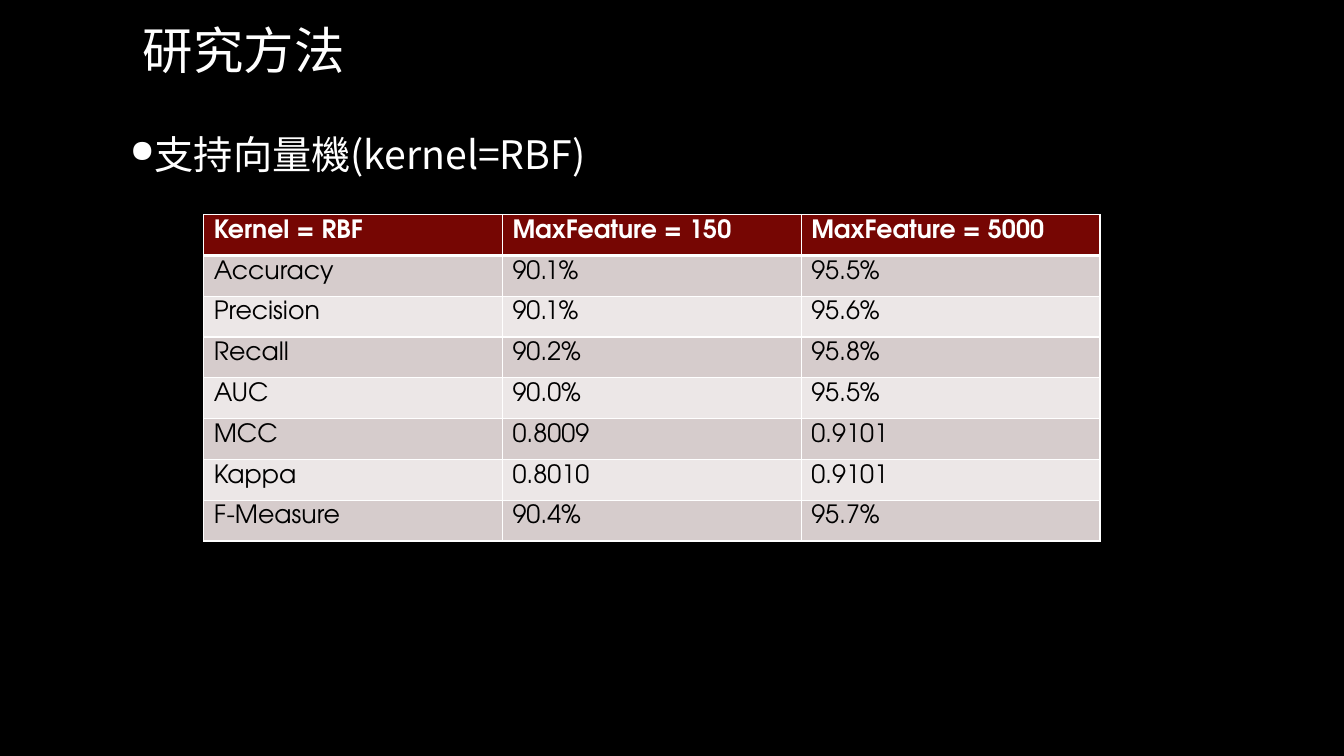
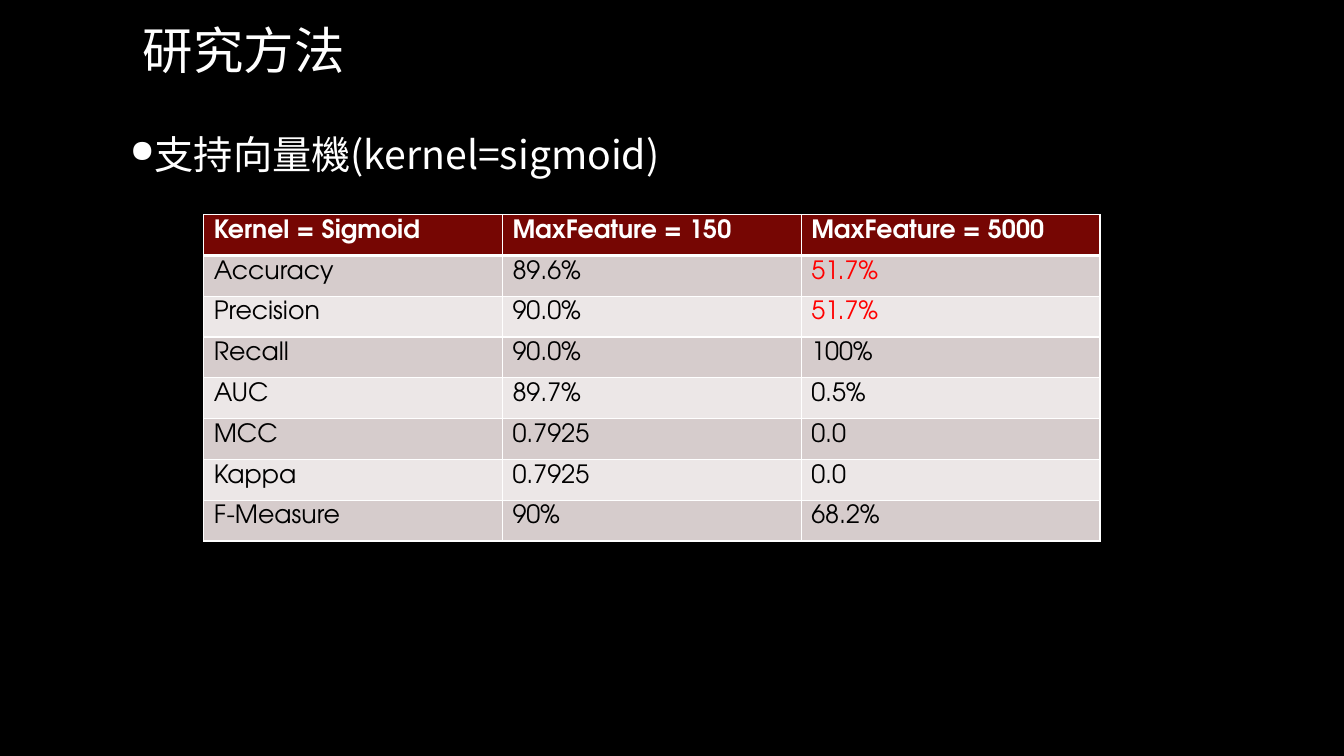
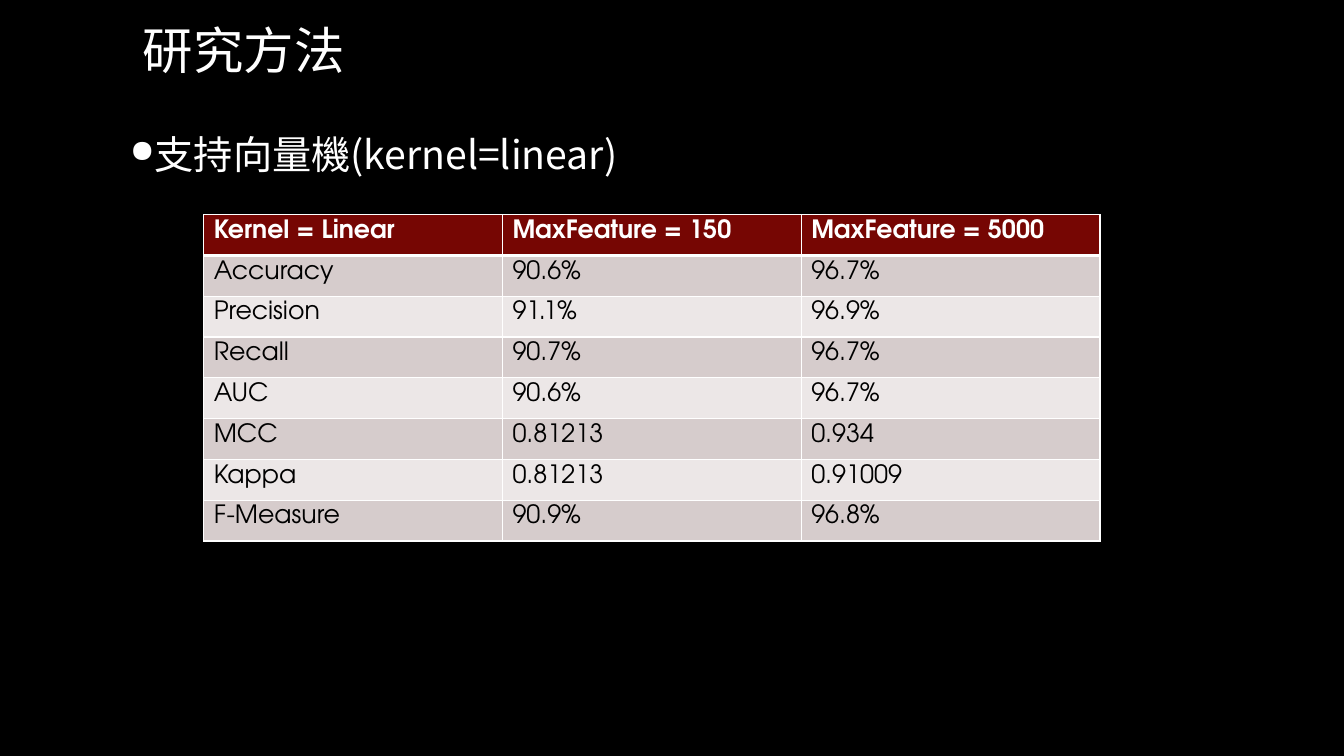
from lxml import etree
from pptx import Presentation
from pptx import util as u
from pptx.dml import color
from pptx.enum import text
from pptx.oxml import ns

HUES = {
    "back": "000000", "light": "FFFFFF", "dark": "000000", "head": "760603",
    "odd": "D6CCCC", "even": "ECE7E7", "alert": "FF0000",
}
CJK = "Noto Sans CJK SC"
LATIN = "TeX Gyre Adventor"
TITLE = "研究方法"
NAMES = ["Accuracy", "Precision", "Recall", "AUC", "MCC", "Kappa", "F-Measure"]
LIMITS = ["MaxFeature = 150", "MaxFeature = 5000"]
ALERTS = {"51.7%"}

KERNELS = [
    ("RBF", "RBF", 4.81,
     ["90.1%", "90.1%", "90.2%", "90.0%", "0.8009", "0.8010", "90.4%"],
     ["95.5%", "95.6%", "95.8%", "95.5%", "0.9101", "0.9101", "95.7%"]),
    ("sigmoid", "Sigmoid", 5.6,
     ["89.6%", "90.0%", "90.0%", "89.7%", "0.7925", "0.7925", "90%"],
     ["51.7%", "51.7%", "100%", "0.5%", "0.0", "0.0", "68.2%"]),
    ("linear", "Linear", 5.4,
     ["90.6%", "91.1%", "90.7%", "90.6%", "0.81213", "0.81213", "90.9%"],
     ["96.7%", "96.9%", "96.7%", "96.7%", "0.934", "0.91009", "96.8%"]),
]


def rgb(hue):
    return color.RGBColor.from_string(HUES[hue])


def sub(node, tag, **attrs):
    return etree.SubElement(node, ns.qn(tag), attrs)


def add_run(para, words, size, font, hue, bold=False):
    run = para.add_run()
    run.text = words
    run.font.size = u.Pt(size)
    run.font.name = font
    run.font.bold = bold
    run.font.color.rgb = rgb(hue)
    sub(run.font._element, "a:ea", typeface=font)


def add_line(slide, box, words, size, anchor):
    frame = slide.shapes.add_textbox(*map(u.Inches, box)).text_frame
    frame.word_wrap = True
    frame.margin_right = 0
    frame.vertical_anchor = anchor
    para = frame.paragraphs[0]
    add_run(para, words, size, CJK, "light")
    return para


def add_title(slide, box):
    add_line(slide, box, TITLE, 36, text.MSO_ANCHOR.MIDDLE)


def add_point(slide, box, words):
    para = add_line(slide, box, words, 28, text.MSO_ANCHOR.TOP)
    props = para._p.get_or_add_pPr()
    indent = u.Inches(0.23)
    props.set("marL", str(indent))
    props.set("indent", str(-indent))
    sub(props, "a:buSzPct", val="80000")
    sub(props, "a:buFont", typeface="OpenSymbol")
    sub(props, "a:buChar", char="●")


def set_edges(cell, top, base):
    props = cell._tc.get_or_add_tcPr()
    for side, width in zip("LRTB", (1, 1, top, base)):
        line = sub(props, "a:ln" + side, w=str(u.Pt(width)))
        fill = sub(line, "a:solidFill")
        sub(fill, "a:srgbClr", val=HUES["light"])


def add_scores(slide, box, rows):
    left, top, width, height = map(u.Inches, box)
    table = slide.shapes.add_table(
        len(rows), len(rows[0]), left, top, width, height).table
    for r, row in enumerate(rows):
        head = r == 0
        shade = "head" if head else "odd" if r % 2 else "even"
        for c, words in enumerate(row):
            cell = table.cell(r, c)
            set_edges(cell, 3 if r == 1 else 1, 3 if head else 1)
            cell.fill.solid()
            cell.fill.fore_color.rgb = rgb(shade)
            ink = "light" if head else "alert" if words in ALERTS else "dark"
            add_run(cell.text_frame.paragraphs[0], words, 18, LATIN, ink, head)


def add_kernel(deck, name, label, width, few, many):
    slide = deck.slides.add_slide(deck.slide_layouts[6])
    fill = slide.background.fill
    fill.solid()
    fill.fore_color.rgb = rgb("back")
    add_title(slide, (1.32, 0.22, 2.33, 0.54))
    rows = [[f"Kernel = {label}", *LIMITS], *zip(NAMES, few, many)]
    add_scores(slide, (2.02, 2.13, 8.89, 3.24), rows)
    add_point(slide, (1.19, 1.24, width, 0.57), f"支持向量機(kernel={name})")


def main():
    deck = Presentation()
    deck.slide_width = u.Inches(13.33)
    deck.slide_height = u.Inches(7.5)
    for kernel in KERNELS:
        add_kernel(deck, *kernel)
    deck.save("out.pptx")


if __name__ == "__main__":
    main()
